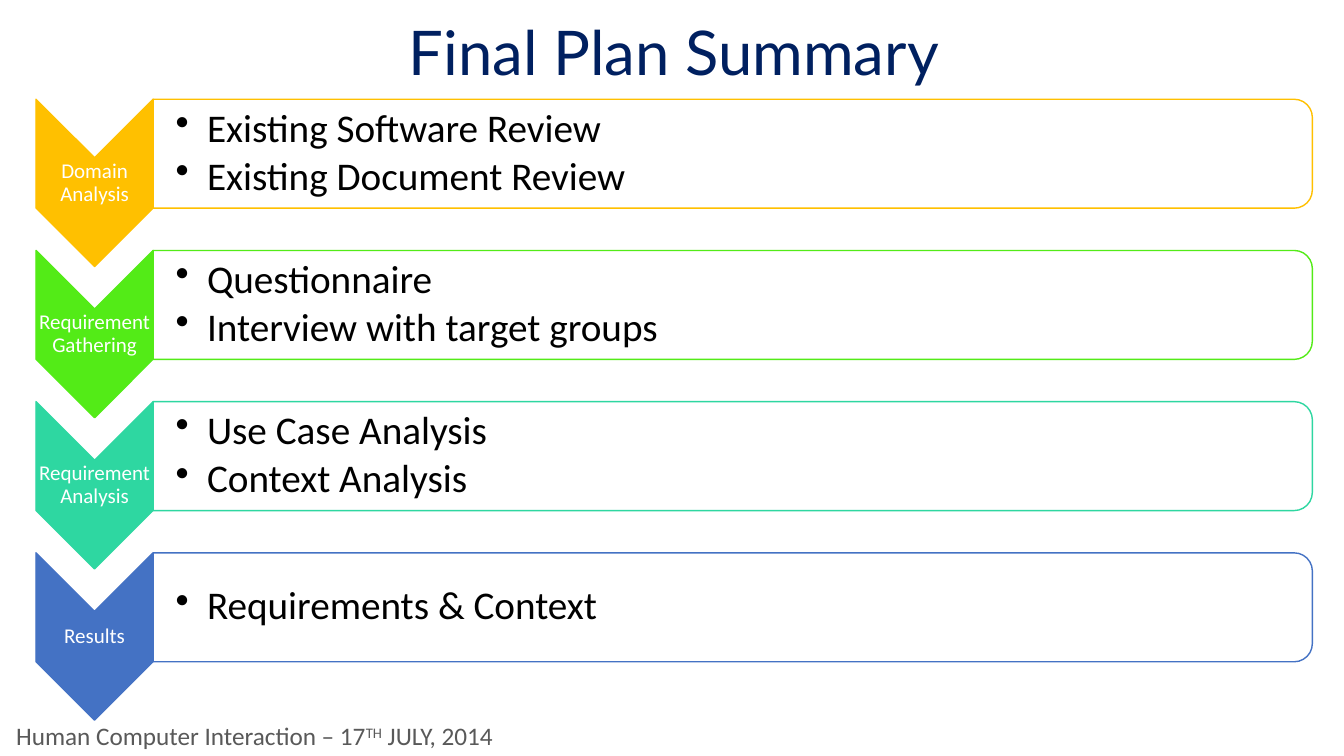
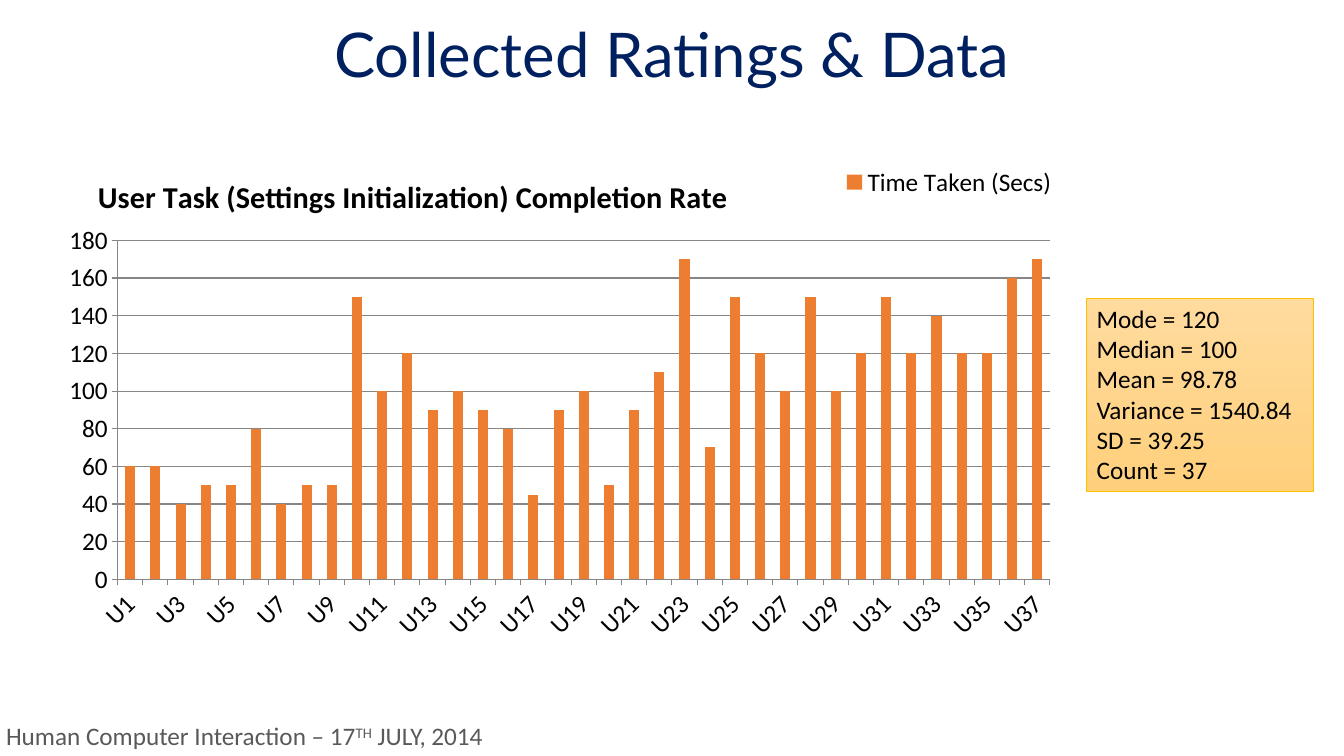
from lxml import etree
from pptx import Presentation
from pptx.chart.data import CategoryChartData
from pptx.dml.color import RGBColor
from pptx.enum.chart import XL_CHART_TYPE, XL_LEGEND_POSITION, XL_TICK_MARK
from pptx.enum.shapes import MSO_SHAPE
from pptx.enum.text import MSO_ANCHOR, PP_ALIGN
from pptx.oxml.ns import qn
from pptx.util import Pt

NAVY, GREY, BLACK, WHITE = "002060", "595959", "000000", "FFFFFF"
GOLD, GREEN, TEAL, BLUE, ORANGE = "FFC000", "53EB17", "2ED7A1", "4472C4", "ED7D31"
GRID = "868686"

PLAN = [
    ("Domain Analysis", GOLD, ["Existing Software Review", "Existing Document Review"]),
    ("Requirement Gathering", GREEN, ["Questionnaire", "Interview with target groups"]),
    ("Requirement Analysis", TEAL, ["Use Case Analysis", "Context Analysis"]),
    ("Results", BLUE, ["Requirements & Context"]),
]
SECONDS = [60, 60, 40, 50, 50, 80, 40, 50, 50, 150, 100, 120, 90, 100, 90, 80, 45, 90, 100,
           50, 90, 110, 170, 70, 150, 120, 100, 150, 100, 120, 150, 120, 140, 120, 120, 160, 170]
STATISTICS = ["Mode = 120", "Median = 100", "Mean = 98.78",
              "Variance = 1540.84", "SD = 39.25", "Count = 37"]


def rgb(hex_code):
    return RGBColor.from_string(hex_code)


def set_layout(parent, index, inner=False, **fractions):
    """Fix a chart part at x, y, w, h, given as fractions of the chart."""
    for old in parent.findall(qn("c:layout")):
        parent.remove(old)
    layout = etree.Element(qn("c:layout"))
    manual = etree.SubElement(layout, qn("c:manualLayout"))
    if inner:
        etree.SubElement(manual, qn("c:layoutTarget")).set("val", "inner")
    for axis in ("x", "y"):
        etree.SubElement(manual, qn(f"c:{axis}Mode")).set("val", "edge")
    for key, value in fractions.items():
        etree.SubElement(manual, qn(f"c:{key}")).set("val", str(value))
    parent.insert(index, layout)


class Deck:
    BODY_FONT, TITLE_FONT = "Calibri", "Lato"

    def __init__(self):
        self.prs = Presentation()
        self.prs.slide_width, self.prs.slide_height = Pt(960), Pt(540)
        self.slide = None

    def start(self, title, box, footer_left):
        self.slide = self.prs.slides.add_slide(self.prs.slide_layouts[5])
        heading = self.slide.shapes.title
        heading.left, heading.top, heading.width, heading.height = map(Pt, box)
        heading.text_frame.vertical_anchor = MSO_ANCHOR.MIDDLE
        line = heading.text_frame.paragraphs[0]
        line.alignment, line.line_spacing = PP_ALIGN.CENTER, 0.9
        self.run(line, title, 44, NAVY, self.TITLE_FONT)
        self.footer(footer_left)

    def style(self, font, size, color, name=BODY_FONT):
        font.size, font.name = Pt(size), name
        font.color.rgb = rgb(color)

    def run(self, paragraph, text, size, color, name=BODY_FONT):
        run = paragraph.add_run()
        run.text = text
        self.style(run.font, size, color, name)
        return run

    def paragraphs(self, frame, lines, size, color, align=PP_ALIGN.LEFT):
        for number, text in enumerate(lines):
            paragraph = frame.add_paragraph() if number else frame.paragraphs[0]
            paragraph.alignment = align
            self.run(paragraph, text, size, color)
        return frame.paragraphs

    def text_area(self, box, left_inset=1, inset=1):
        frame = self.slide.shapes.add_textbox(*map(Pt, box)).text_frame
        frame.word_wrap, frame.vertical_anchor = True, MSO_ANCHOR.MIDDLE
        frame.margin_left = Pt(left_inset)
        frame.margin_right = frame.margin_top = frame.margin_bottom = Pt(inset)
        return frame

    def footer(self, left):
        line = self.text_area((left, 511.2, 400, 28.8), 0).paragraphs[0]
        self.run(line, "Human Computer Interaction – 17", 18, GREY)
        ordinal = self.run(line, "TH", 18, GREY)
        ordinal.font._element.set("baseline", "30000")
        self.run(line, " JULY, 2014", 18, GREY)

    def shape(self, kind, box, line, line_width):
        shape = self.slide.shapes.add_shape(kind, *map(Pt, box))
        shape.shadow.inherit = False
        shape.line.color.rgb, shape.line.width = rgb(line), Pt(line_width)
        return shape

    def turned_shape(self, kind, left, top, width, height, fill, line):
        """Draw a shape turned by 90 degrees that covers the given box."""
        shift = (width - height) / 2
        shape = self.shape(kind, (left + shift, top - shift, height, width), line, 1)
        shape.rotation = 90
        shape.fill.solid()
        shape.fill.fore_color.rgb = rgb(fill)

    def step(self, top, label, color, bullets):
        left, chevron_width, panel_height = 25.7, 83.7, 77.8
        panel_left = left + chevron_width
        self.turned_shape(MSO_SHAPE.CHEVRON, left, top, chevron_width, 119.5, color, color)
        self.turned_shape(MSO_SHAPE.ROUND_2_SAME_RECTANGLE, panel_left, top, 828,
                          panel_height, WHITE, color)
        caption = self.text_area((left, top + 41.8, chevron_width, 36))
        for line in self.paragraphs(caption, [label], 15, WHITE, PP_ALIGN.CENTER):
            line.line_spacing = 0.9
        panel = self.text_area((panel_left, top + 3.8, 824, 70), 16)
        for line in self.paragraphs(panel, bullets, 28, BLACK):
            line.line_spacing, line.space_after = 0.9, Pt(4.2)
            properties = line._p.get_or_add_pPr()
            properties.set("marL", str(Pt(22.5)))
            properties.set("indent", str(-Pt(22.5)))
            etree.SubElement(properties, qn("a:buChar")).set("char", "•")

    def statistics(self, box, lines):
        panel = self.shape(MSO_SHAPE.RECTANGLE, box, GOLD, 0.5)
        panel.fill.gradient()
        panel.fill.gradient_angle = 270
        for stop, color in zip(panel.fill.gradient_stops, ("FFDB9E", "FFD07C")):
            stop.color.rgb = rgb(color)
        panel.text_frame.vertical_anchor = MSO_ANCHOR.TOP
        self.paragraphs(panel.text_frame, lines, 18, BLACK)

    def column_chart(self, box, title, series_name, categories, values):
        data = CategoryChartData()
        data.categories = categories
        data.add_series(series_name, values)
        chart = self.slide.shapes.add_chart(
            XL_CHART_TYPE.COLUMN_CLUSTERED, *map(Pt, box), data).chart
        self.style(chart.font, 18, BLACK)

        plot = chart.plots[0]
        plot.gap_width, plot.vary_by_categories = 150, False
        columns = plot.series[0].format.fill
        columns.solid()
        columns.fore_color.rgb = rgb(ORANGE)

        chart.has_title = True
        heading = chart.chart_title.text_frame.paragraphs[0]
        self.run(heading, title, 21.6, BLACK).font.bold = True
        chart.has_legend = True
        chart.legend.position = XL_LEGEND_POSITION.RIGHT
        chart.legend.include_in_layout = False

        users, seconds = chart.category_axis, chart.value_axis
        seconds.has_major_gridlines = True
        seconds.minimum_scale, seconds.maximum_scale, seconds.major_unit = 0, 180, 20
        for axis in (users, seconds):
            axis.major_tick_mark = XL_TICK_MARK.OUTSIDE
            self.style(axis.tick_labels.font, 18, BLACK)
        for part in (users, seconds, seconds.major_gridlines):
            part.format.line.color.rgb = rgb(GRID)
            part.format.line.width = Pt(0.75)
        users._element.find(qn("c:txPr")).find(qn("a:bodyPr")).set("rot", "-2700000")

        set_layout(chart.chart_title._element, 1, x=0.04, y=0.05)
        set_layout(chart.legend._element, 1, x=0.63, y=0.04, w=0.18, h=0.07)
        set_layout(plot._element.getparent(), 0, inner=True, x=0.06, y=0.19, w=0.74, h=0.67)


def main():
    deck = Deck()
    deck.start("Final Plan Summary", (73.4, 0, 816, 79), 11.5)
    for number, (label, color, bullets) in enumerate(PLAN):
        deck.step(70.9 + 108 * number, label, color, bullets)

    deck.start("Collected Ratings & Data", (66, 13, 828, 56), 4.3)
    deck.column_chart((30, 103, 900, 361.5), "User Task (Settings Initialization) Completion Rate",
                      "Time Taken (Secs)", [f"U{n + 1}" for n in range(len(SECONDS))], SECONDS)
    deck.statistics((776.2, 213.1, 162, 138.2), STATISTICS)
    deck.prs.save("out.pptx")


if __name__ == "__main__":
    main()
